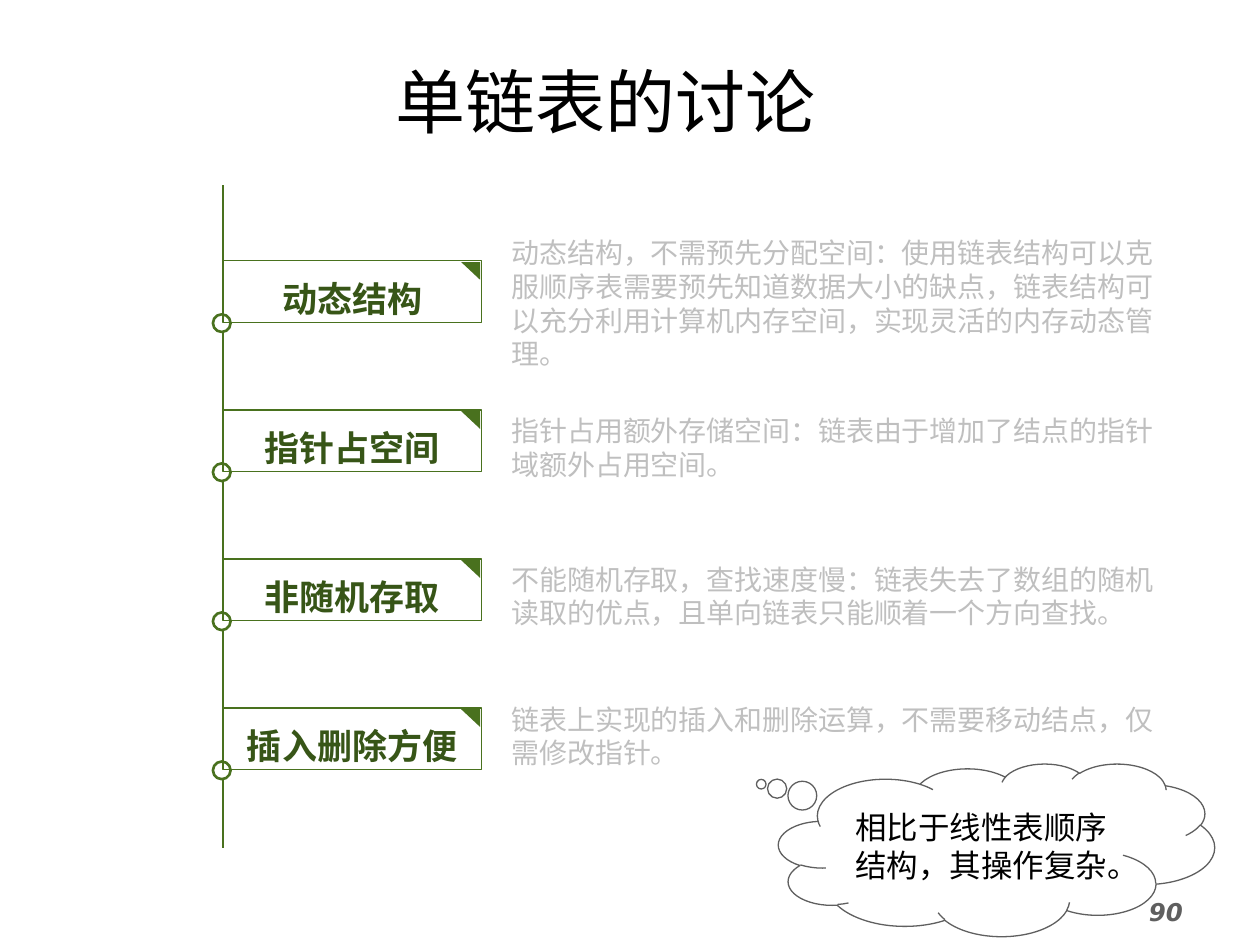
from dataclasses import dataclass

from lxml import etree
from pptx import Presentation, util as u
from pptx.dml.color import RGBColor
from pptx.enum import shapes, text
from pptx.oxml.ns import qn

GREEN, DARK_GREEN = "49711E", "375517"
GREY, PALE_GREY = "5F5F5F", "BFBFBF"
WHITE, BLACK = "FFFFFF", "000000"
CJK = "Noto Sans CJK SC"
SPINE_X = 1.77
FIRST_ROW, ROW_PITCH = 2.07, 1.183
SHAPE, ALIGN, ANCHOR = shapes.MSO_SHAPE, text.PP_ALIGN, text.MSO_ANCHOR


@dataclass
class Topic:
    label: str
    detail: str
    detail_top: float
    detail_height: float = 0.56


TOPICS = [
    Topic("动态结构", "动态结构，不需预先分配空间：使用链表结构可以克服顺序表需要预先知道数据大小的缺点，"
          "链表结构可以充分利用计算机内存空间，实现灵活的内存动态管理。", 1.86, 1.09),
    Topic("指针占空间", "指针占用额外存储空间：链表由于增加了结点的指针域额外占用空间。", 3.27),
    Topic("非随机存取", "不能随机存取，查找速度慢：链表失去了数组的随机读取的优点，"
          "且单向链表只能顺着一个方向查找。", 4.45),
    Topic("插入删除方便", "链表上实现的插入和删除运算，不需要移动结点，仅需修改指针。", 5.56),
]


def colour(value: str) -> RGBColor:
    return RGBColor.from_string(value)


def write(shape, words: str, *, size: float, color: str, font: str = CJK, bold: bool = False,
          italic: bool = False, align=ALIGN.LEFT, anchor=ANCHOR.MIDDLE, spacing: float = 1.0,
          insets: tuple = (0, 0, 0, 0)) -> None:
    frame = shape.text_frame
    frame.word_wrap = True
    frame.vertical_anchor = anchor
    (frame.margin_left, frame.margin_top,
     frame.margin_right, frame.margin_bottom) = map(u.Inches, insets)
    para = frame.paragraphs[0]
    para.alignment, para.line_spacing = align, spacing
    span = para.add_run()
    span.text = words
    span.font.name, span.font.size = font, u.Pt(size)
    span.font.bold, span.font.italic = bold, italic
    span.font.color.rgb = colour(color)
    # East Asian letters take their font from a separate element
    etree.SubElement(span.font._element, qn("a:ea")).set("typeface", font)


def add_shape(page, kind, left: float, top: float, width: float, height: float, *,
              fill: str = "", line: str = "", weight: float = 0.75, rotation: float = 0):
    shape = page.shapes.add_shape(kind, *map(u.Inches, (left, top, width, height)))
    shape.shadow.inherit = False
    shape.rotation = rotation
    if fill:
        shape.fill.solid()
        shape.fill.fore_color.rgb = colour(fill)
    else:
        shape.fill.background()
    if line:
        shape.line.color.rgb = colour(line)
        shape.line.width = u.Pt(weight)
    else:
        shape.line.fill.background()
    return shape


def add_textbox(page, left: float, top: float, width: float, height: float):
    return page.shapes.add_textbox(*map(u.Inches, (left, top, width, height)))


def add_spine(page) -> None:
    x = u.Inches(SPINE_X)
    spine = page.shapes.add_connector(shapes.MSO_CONNECTOR.STRAIGHT,
                                      x, u.Inches(1.47), x, u.Inches(6.73))
    spine.line.color.rgb = colour(GREEN)
    spine.line.width = u.Pt(1.5)
    etree.SubElement(spine._element.spPr, qn("a:effectLst"))


def add_topic(page, topic: Topic, top: float) -> None:
    detail = add_shape(page, SHAPE.RECTANGLE, 4.06, topic.detail_top, 5.27,
                       topic.detail_height, fill=WHITE)
    write(detail, topic.detail, size=16, color=PALE_GREY)
    add_shape(page, SHAPE.OVAL, SPINE_X - 0.08, top + 0.425, 0.14, 0.14,
              fill=WHITE, line=GREEN, weight=1.5)
    label = add_shape(page, SHAPE.RECTANGLE, SPINE_X, top, 2.05, 0.49, line=GREEN)
    write(label, topic.label, size=20, color=DARK_GREEN, bold=True,
          align=ALIGN.CENTER, spacing=1.3)
    add_shape(page, SHAPE.RIGHT_TRIANGLE, 3.66, top + 0.01, 0.15, 0.14,
              fill=GREEN, rotation=180)


def main() -> None:
    deck = Presentation()
    deck.slide_width, deck.slide_height = u.Inches(10), u.Inches(7.5)
    page = deck.slides.add_slide(deck.slide_layouts[6])

    # Page number and title
    write(add_textbox(page, 9.02, 7.07, 1.02, 0.43), "90", size=14, color=GREY,
          font="DejaVu Sans", bold=True, italic=True, anchor=ANCHOR.TOP,
          insets=(0.1, 0.05, 0.1, 0.05))
    write(add_textbox(page, 1.3, 0.44, 7.01, 0.63), "单链表的讨论", size=40, color=BLACK,
          font="DejaVu Sans Mono", align=ALIGN.CENTER, insets=(0.1, 0.09, 0.1, 0))

    # Timeline of topics
    add_spine(page)
    for row, topic in enumerate(TOPICS):
        add_topic(page, topic, FIRST_ROW + row * ROW_PITCH)

    # Closing remark
    cloud = add_shape(page, SHAPE.CLOUD_CALLOUT, 6.18, 6.06, 3.46, 1.37,
                      fill=WHITE, line=GREY)
    cloud.adjustments[0], cloud.adjustments[1] = -0.54, -0.38
    write(cloud, "相比于线性表顺序结构，其操作复杂。", size=18, color=BLACK,
          align=ALIGN.CENTER, insets=(0.1, 0.05, 0.1, 0.05))

    deck.save("out.pptx")


if __name__ == "__main__":
    main()
